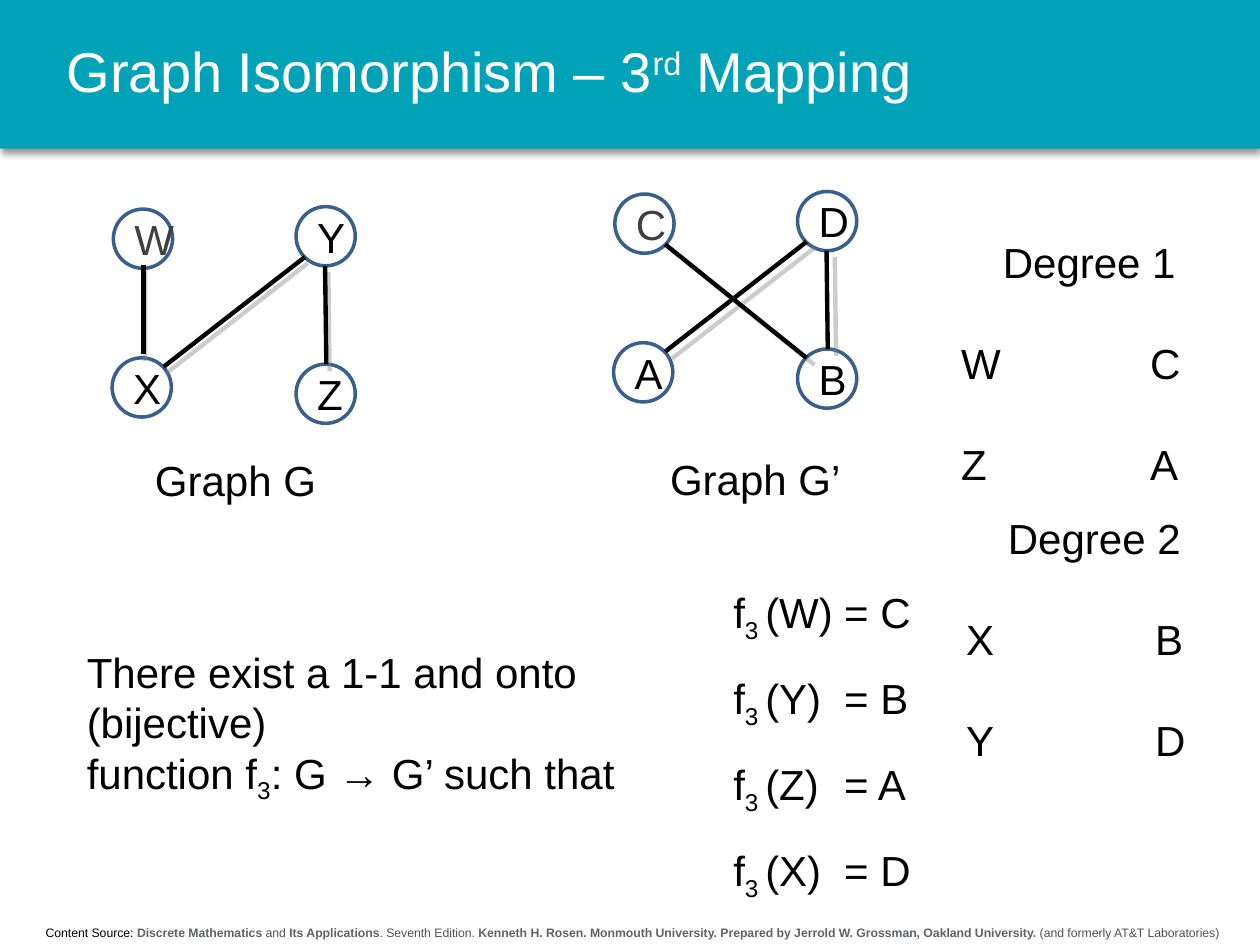
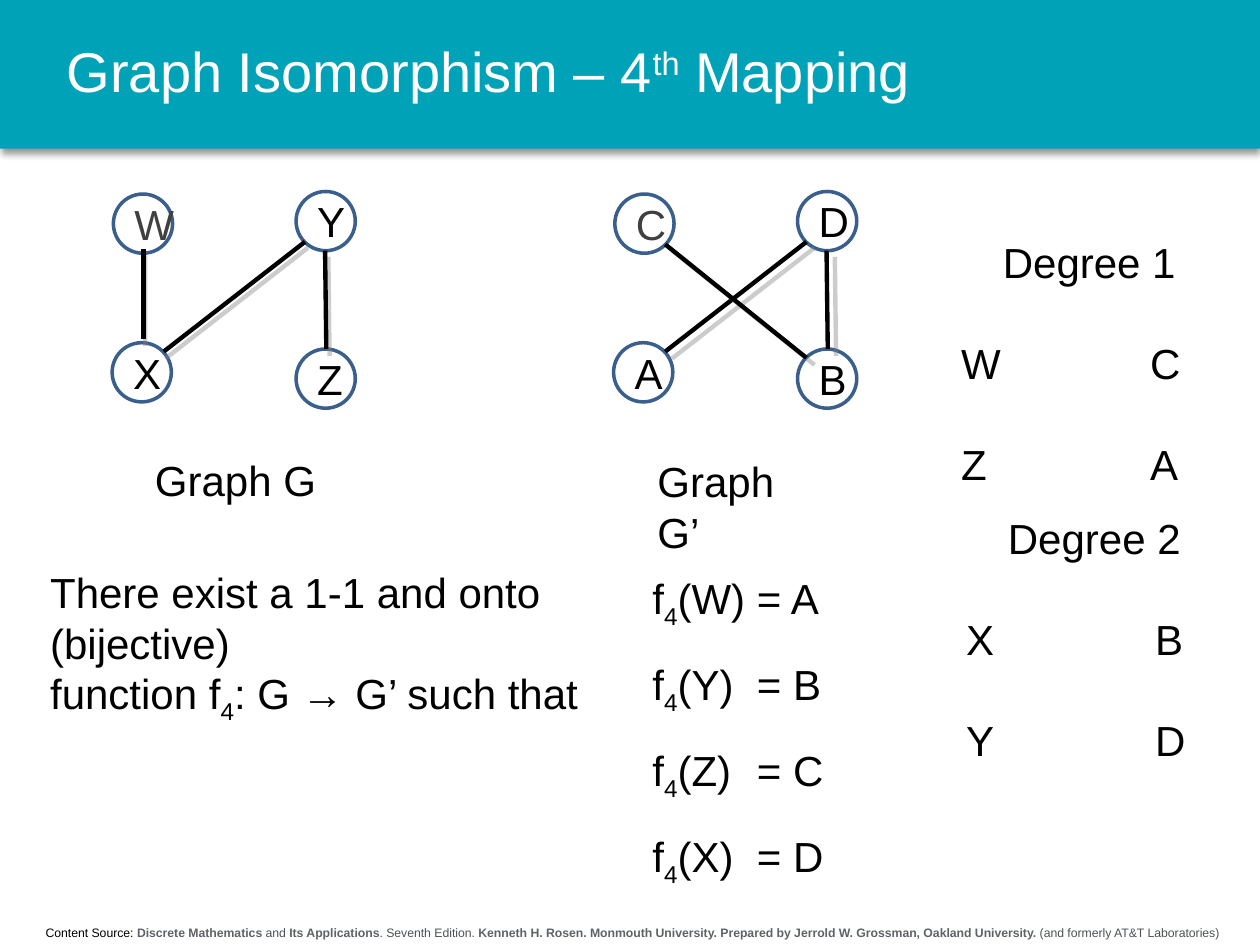
from lxml import etree
from pptx import Presentation
from pptx.dml.color import RGBColor
from pptx.enum.shapes import MSO_CONNECTOR as LINE, MSO_SHAPE as SHAPE
from pptx.enum.text import MSO_ANCHOR as ANCHOR, MSO_AUTO_SIZE as FIT, PP_ALIGN as ALIGN
from pptx.oxml.ns import qn
from pptx.util import Inches, Pt

WIDTH, HEIGHT = Inches(10), Inches(7.5)
COL, ROW = WIDTH / 10, HEIGHT / 7.5
FONT = "Arial"
TEAL, NAVY, WHITE, BLACK = "00A2B8", "3A5F8C", "FFFFFF", "000000"
DARK, GREY, SLATE = "404040", "5F6368", "4D5156"
BODY = 24
SUPER, SUB = 30000, -25000
BAND_HEIGHT = 1.18
NODE = 0.47

# Offsets from the top left corner of a graph, in columns and rows
SLOTS = {"top right": (1.45, 0), "top left": (0, 0.02),
         "low left": (-0.01, 1.2), "low right": (1.45, 1.25)}
RISING = (0.4, 1.27, 1.52, 0.4)
RIGHT = (1.68, 0.47, 1.69, 1.25)
LEFT = (0.24, 0.46, 0.24, 1.17)
FALLING = (0.4, 0.42, 1.52, 1.32)

SOURCE = [
    ("Content Source: ", BLACK, False),
    ("Discrete Mathematics", GREY, True),
    (" and ", SLATE, False),
    ("Its Applications", GREY, True),
    (". Seventh Edition. ", SLATE, False),
    ("Kenneth H. Rosen. Monmouth University. Prepared by Jerrold W. Grossman, "
     "Oakland University.", GREY, True),
    (" (and formerly AT&T Laboratories)", SLATE, False),
]


def rgb(color):
    return RGBColor.from_string(color)


def grid(*cells):
    """Turn alternating columns and rows into lengths."""
    return [round(n * (ROW if i % 2 else COL)) for i, n in enumerate(cells)]


def style(font, size=BODY, color=BLACK, bold=False):
    font.name, font.size, font.bold = FONT, Pt(size), bold
    font.color.rgb = rgb(color)


def add_run(p, text, size=BODY, color=BLACK, bold=False, baseline=0):
    r = p.add_run()
    r.text = text
    style(r.font, size, color, bold)
    if baseline:
        r._r.get_or_add_rPr().set("baseline", str(baseline))


def add_tab(p, position):
    tabs = etree.SubElement(p._p.get_or_add_pPr(), qn("a:tabLst"))
    etree.SubElement(tabs, qn("a:tab"), pos=str(Inches(position)), algn="l")


def set_shadow(s, color, blur, distance, scale=100):
    """Cast a soft shadow straight down, 40 percent opaque."""
    props = s._element.spPr
    effects = props.find(qn("a:effectLst"))
    if effects is None:
        effects = etree.SubElement(props, qn("a:effectLst"))
    outer = etree.SubElement(
        effects, qn("a:outerShdw"), blurRad=str(Pt(blur)), dist=str(Pt(distance)),
        dir="5400000", sx=str(scale * 1000), sy=str(scale * 1000), rotWithShape="0")
    tint = etree.SubElement(outer, qn("a:srgbClr"), val=color)
    etree.SubElement(tint, qn("a:alpha"), val="40000")


def add_text(slide, *cells, indent=0.1):
    tf = slide.shapes.add_textbox(*grid(*cells)).text_frame
    tf.word_wrap = True
    tf.margin_left = Inches(indent)
    return tf


def add_label(slide, text, *cells, indent=0.1):
    p = add_text(slide, *cells, indent=indent).paragraphs[0]
    p.text = text
    style(p.runs[0].font)


def add_shape(slide, kind, fill, *cells):
    s = slide.shapes.add_shape(kind, *grid(*cells))
    s.shadow.inherit = False
    s.fill.solid()
    s.fill.fore_color.rgb = rgb(fill)
    return s


def furnish(layout, slide):
    """Give the layout its title band and source line."""
    band = add_shape(slide, SHAPE.RECTANGLE, TEAL, 0, 0, 10, BAND_HEIGHT)
    band.line.fill.background()
    set_shadow(band, BLACK, 4, 3)

    footer = slide.shapes.add_textbox(*grid(0.04, 7.29, 9.96, 0.22))
    footer.text_frame.word_wrap = True
    p = footer.text_frame.paragraphs[0]
    p.alignment = ALIGN.CENTER
    for text, color, bold in SOURCE:
        add_run(p, text, 7, color, bold)

    for i, s in enumerate((band, footer)):
        s._element.nvSpPr.cNvPr.set("id", str(100 + i))
        layout.shapes._spTree.insert(2 + i, s._element)


def set_title(slide, number, ordinal):
    title = slide.shapes.title
    title.left, title.top, title.width, title.height = grid(0.43, 0, 9.3, BAND_HEIGHT)
    tf = title.text_frame
    tf.auto_size, tf.vertical_anchor = FIT.NONE, ANCHOR.MIDDLE
    p = tf.paragraphs[0]
    p.alignment, p.line_spacing = ALIGN.LEFT, 0.9
    for text, baseline in ((f"Graph Isomorphism – {number}", 0),
                           (ordinal, SUPER), (" Mapping", 0)):
        add_run(p, text, 32, WHITE, baseline=baseline)


def add_graph(slide, left, top, names, edges):
    for name, (slot, (dx, dy)) in zip(names, SLOTS.items()):
        s = add_shape(slide, SHAPE.OVAL, WHITE, left + dx, top + dy, NODE, NODE)
        s.line.color.rgb, s.line.width = rgb(NAVY), Pt(2)
        s.text_frame.text = name
        p = s.text_frame.paragraphs[0]
        p.alignment = ALIGN.CENTER
        style(p.runs[0].font, color=DARK if slot == "top left" else BLACK)
    for x1, y1, x2, y2 in edges:
        c = slide.shapes.add_connector(
            LINE.STRAIGHT, *grid(left + x1, top + y1, left + x2, top + y2))
        c.line.color.rgb, c.line.width = rgb(BLACK), Pt(2.5)
        set_shadow(c, "808080", 0, 2, 101)


def add_degrees(slide, left, top, degree, pairs):
    tf = add_text(slide, left, top, 2.23, 2.12)
    tf.text = "\n".join([f"Degree {degree}"] + ["\t".join(pair) for pair in pairs])
    heading, *rows = tf.paragraphs
    heading.alignment = ALIGN.CENTER
    for p in rows:
        add_tab(p, 1.5)
        p.space_before = Pt(28.8)
    for p in tf.paragraphs:
        style(p.runs[0].font)


def add_statement(slide, number, *cells):
    tf = add_text(slide, *cells)
    add_run(tf.paragraphs[0], "There exist a 1-1 and onto (bijective)")
    p = tf.add_paragraph()
    add_run(p, "function f")
    add_run(p, str(number), baseline=SUB)
    add_run(p, ": G → G’ such that")


def add_mapping(slide, subscript, images, equals_at, indent, *cells):
    """List the image of each vertex, with the equals signs lined up."""
    tf = add_text(slide, *cells, indent=indent)
    for i, (vertex, image) in enumerate(zip("WYZX", images)):
        p = tf.add_paragraph() if i else tf.paragraphs[0]
        add_tab(p, equals_at)
        p.line_spacing = 1.5
        add_run(p, "f")
        add_run(p, subscript, baseline=SUB)
        add_run(p, f"({vertex})\t= {image}")


def add_mapping_slide(slide, number, ordinal, g_top):
    """Draw what both mappings have in common."""
    set_title(slide, number, ordinal)
    add_graph(slide, 0.9, g_top, "YWXZ", (RISING, RIGHT, LEFT))
    add_graph(slide, 4.88, 1.52, "DCAB", (RISING, RIGHT, FALLING))
    add_label(slide, "Graph G", 0.39, 3.56, 2.43, 0.5, indent=0.84)
    add_degrees(slide, 7.53, 1.83, 1, ("WC", "ZA"))
    add_degrees(slide, 7.57, 4.02, 2, ("XB", "YD"))


def main():
    prs = Presentation()
    prs.slide_width, prs.slide_height = WIDTH, HEIGHT
    layout = prs.slide_layouts[5]
    third, fourth = (prs.slides.add_slide(layout) for _ in range(2))
    furnish(layout, third)

    add_mapping_slide(third, 3, "rd", 1.64)
    add_label(third, "Graph G’", 5.22, 3.55, 1.6, 0.5)
    add_mapping(third, "3 ", "CBAD", 0.88, 0.6, 5.22, 4.38, 2.36, 2.44)
    add_statement(third, 3, 0.59, 5.08, 4.61, 1.72)

    add_mapping_slide(fourth, 4, "th", 1.52)
    add_label(fourth, "Graph G’", 5.12, 3.57, 1.47, 0.5)
    add_statement(fourth, 4, 0.3, 4.45, 4.57, 1.31)
    add_mapping(fourth, "4", "ABCD", 0.83, 0.1, 5.08, 4.27, 1.9, 2.44)

    prs.save("out.pptx")


if __name__ == "__main__":
    main()
